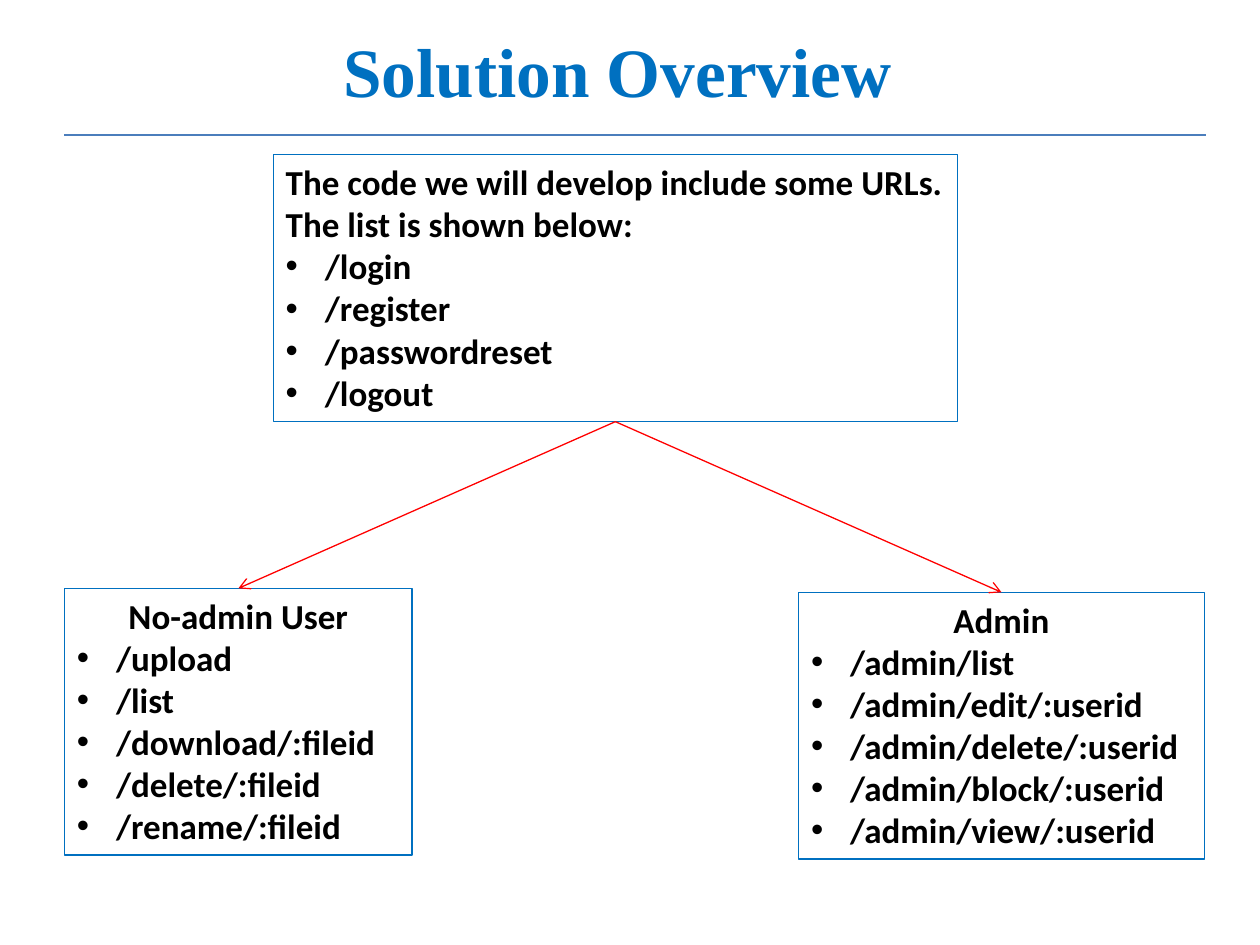
from dataclasses import dataclass

import pptx
import pptx.dml.color
import pptx.enum.shapes
import pptx.enum.text
import pptx.oxml
import pptx.oxml.ns
import pptx.presentation
import pptx.shapes.autoshape
import pptx.shapes.connector
import pptx.slide
import pptx.text.text
import pptx.util
from pptx.util import Cm

BLUE = pptx.dml.color.RGBColor(0x00, 0x70, 0xC0)
RULE_BLUE = pptx.dml.color.RGBColor(0x4B, 0x7E, 0xBC)
RED = pptx.dml.color.RGBColor(0xFF, 0x00, 0x00)
BLACK = pptx.dml.color.RGBColor(0x00, 0x00, 0x00)
LINE_WIDTH = pptx.util.Pt(0.75)
BOX_HEIGHT = Cm(5.38)
BULLET_INDENT = Cm(0.79)
BOTTOM, TOP = 2, 0
LEFT_ALIGNED = pptx.enum.text.PP_ALIGN.LEFT
CENTERED = pptx.enum.text.PP_ALIGN.CENTER


@dataclass(frozen=True)
class UrlBox:
    left: float
    top: float
    width: float
    headings: tuple[str, ...]
    urls: tuple[str, ...]
    heading_alignment: pptx.enum.text.PP_ALIGN = CENTERED


COMMON = UrlBox(
    5.51, 3.12, 13.79,
    ("The code we will develop include some URLs.", "The list is shown below:"),
    ("/login", "/register", "/passwordreset", "/logout"),
    LEFT_ALIGNED,
)
ROLES = (
    UrlBox(
        1.3, 11.86, 7.01,
        ("No-admin User",),
        ("/upload", "/list", "/download/:fileid", "/delete/:fileid", "/rename/:fileid"),
    ),
    UrlBox(
        16.1, 11.94, 8.18,
        ("Admin",),
        ("/admin/list", "/admin/edit/:userid", "/admin/delete/:userid",
         "/admin/block/:userid", "/admin/view/:userid"),
    ),
)


def add_child(parent, tag: str, **attributes: str) -> None:
    child = pptx.oxml.parse_xml(f"<{tag} {pptx.oxml.ns.nsdecls('a')}/>")
    for name, value in attributes.items():
        child.set(name, value)
    parent.append(child)


def style_paragraph(
    paragraph: pptx.text.text._Paragraph,
    name: str,
    size: float,
    color: pptx.dml.color.RGBColor,
) -> None:
    paragraph.font.name = name
    paragraph.font.size = pptx.util.Pt(size)
    paragraph.font.bold = True
    paragraph.font.color.rgb = color


def add_bullet(paragraph: pptx.text.text._Paragraph) -> None:
    properties = paragraph._p.get_or_add_pPr()
    properties.set("marL", str(BULLET_INDENT))
    properties.set("indent", str(-BULLET_INDENT))
    bullet_font = pptx.oxml.parse_xml(
        f'<a:buFont {pptx.oxml.ns.nsdecls("a")} typeface="Arial"/>'
    )
    properties.insert(0, bullet_font)
    bullet = pptx.oxml.parse_xml(
        f'<a:buChar {pptx.oxml.ns.nsdecls("a")} char="•"/>'
    )
    bullet_font.addnext(bullet)


def add_title(page: pptx.slide.Slide, text: str) -> None:
    box = page.shapes.add_textbox(Cm(1.02), Cm(0.53), Cm(22.86), Cm(1.75))
    frame = box.text_frame
    frame.word_wrap = True
    frame.vertical_anchor = pptx.enum.text.MSO_ANCHOR.MIDDLE
    paragraph = frame.paragraphs[0]
    paragraph.text = text
    paragraph.alignment = CENTERED
    style_paragraph(paragraph, "Times New Roman", 39.6, BLUE)


def add_url_box(page: pptx.slide.Slide, content: UrlBox) -> pptx.shapes.autoshape.Shape:
    box = page.shapes.add_shape(
        pptx.enum.shapes.MSO_SHAPE.RECTANGLE,
        Cm(content.left), Cm(content.top), Cm(content.width), BOX_HEIGHT,
    )
    box.shadow.inherit = False
    box.fill.background()
    box.line.color.rgb = BLUE
    box.line.width = LINE_WIDTH
    frame = box.text_frame
    frame.word_wrap = True
    frame.vertical_anchor = pptx.enum.text.MSO_ANCHOR.TOP
    frame.text = "\n".join(content.headings + content.urls)
    for index, paragraph in enumerate(frame.paragraphs):
        style_paragraph(paragraph, "Calibri", 20, BLACK)
        if index < len(content.headings):
            paragraph.alignment = content.heading_alignment
        else:
            paragraph.alignment = LEFT_ALIGNED
            add_bullet(paragraph)
    return box


def add_line(
    page: pptx.slide.Slide,
    color: pptx.dml.color.RGBColor,
    start: tuple[int, int] = (0, 0),
    end: tuple[int, int] = (0, 0),
) -> pptx.shapes.connector.Connector:
    line = page.shapes.add_connector(
        pptx.enum.shapes.MSO_CONNECTOR.STRAIGHT, *start, *end
    )
    line.line.color.rgb = color
    line.line.width = LINE_WIDTH
    add_child(line._element.spPr, "a:effectLst")
    return line


def add_arrow(
    page: pptx.slide.Slide,
    source: pptx.shapes.autoshape.Shape,
    target: pptx.shapes.autoshape.Shape,
) -> None:
    arrow = add_line(page, RED)
    arrow.begin_connect(source, BOTTOM)
    arrow.end_connect(target, TOP)
    add_child(arrow.line._get_or_add_ln(), "a:tailEnd", type="arrow")


def main() -> None:
    deck = pptx.Presentation()
    deck.slide_width, deck.slide_height = Cm(25.4), Cm(19.05)
    page = deck.slides.add_slide(deck.slide_layouts[6])
    add_title(page, "Solution Overview")
    add_line(page, RULE_BLUE, (Cm(1.3), Cm(2.72)), (Cm(24.31), Cm(2.72)))
    common_box = add_url_box(page, COMMON)
    for role in ROLES:
        add_arrow(page, common_box, add_url_box(page, role))
    deck.save("out.pptx")


if __name__ == "__main__":
    main()
